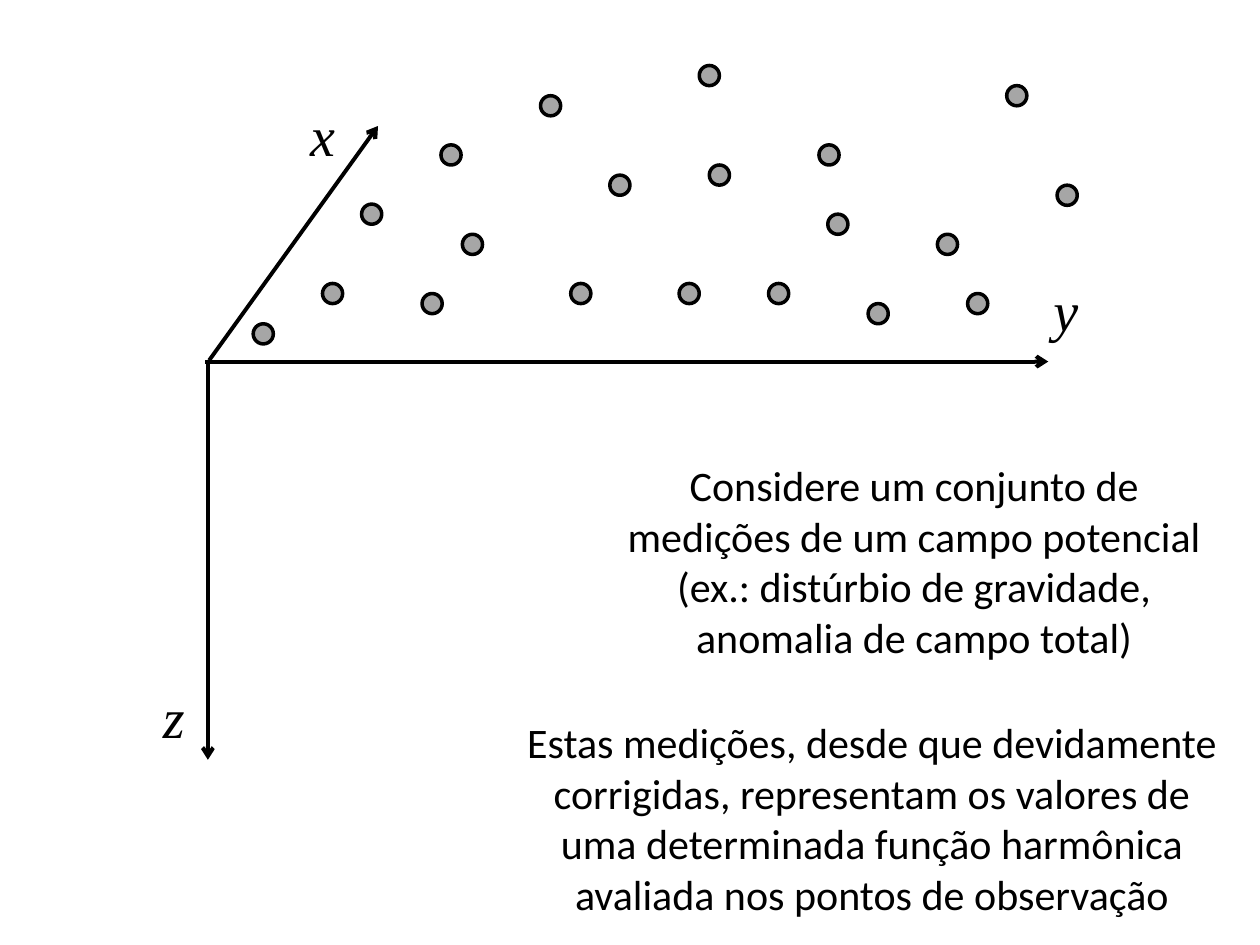
from dataclasses import dataclass

import pptx
import pptx.dml.color
import pptx.enum.shapes
import pptx.enum.text
import pptx.oxml
import pptx.oxml.ns
import pptx.util

Inches = pptx.util.Inches
Pt = pptx.util.Pt


@dataclass(frozen=True)
class Theme:
    ink: pptx.dml.color.RGBColor = pptx.dml.color.RGBColor(0, 0, 0)
    point: pptx.dml.color.RGBColor = pptx.dml.color.RGBColor(0xA6, 0xA6, 0xA6)
    body_font: str = "Calibri"
    math_font: str = "Times New Roman"
    body_size: float = 24
    math_size: float = 32
    axis_width: float = 2.25
    point_width: float = 2


THEME = Theme()

# Axis name: start, end and label corner, as offsets from the origin
AXES = {
    "z": ((0, 0), (0, 3.16), (-0.74, 2.5)),
    "y": ((-0.02, 0), (6.67, 0), (6.34, -0.73)),
    "x": ((0.01, -0.01), (1.35, -1.87), (0.44, -2.12)),
}

# Observation points, as offsets from the corner of their region
POINTS = [
    (1.49, 0.63), (2.28, 0.24), (1.66, 1.34), (0.86, 1.10), (0.55, 1.73),
    (1.34, 1.81), (2.83, 0.87), (3.54, 0), (2.52, 1.73), (3.62, 0.79),
    (3.38, 1.73), (4.49, 0.63), (4.56, 1.18), (4.09, 1.73), (5.98, 0.16),
    (5.43, 1.34), (4.88, 1.89), (5.67, 1.81), (6.38, 0.95), (0, 2.05),
]
POINT_SIZE = 0.16

MEASUREMENTS = [
    "Considere um conjunto de medições de um campo potencial",
    "(ex.: distúrbio de gravidade, anomalia de campo total)",
]
HARMONIC = [
    "Estas medições, desde que devidamente corrigidas, representam os valores "
    "de uma determinada função harmônica avaliada nos pontos de observação",
]


def add_text(shapes, box, paragraphs, font=THEME.body_font,
             size=THEME.body_size, italic=False):
    """Add a centred, wrapped text box."""
    tf = shapes.add_textbox(*(Inches(v) for v in box)).text_frame
    tf.word_wrap = True
    for i, text in enumerate(paragraphs):
        p = tf.add_paragraph() if i else tf.paragraphs[0]
        p.alignment = pptx.enum.text.PP_ALIGN.CENTER
        r = p.add_run()
        r.text = text
        r.font.name = font
        r.font.size = Pt(size)
        r.font.italic = italic
        r.font.color.rgb = THEME.ink


def add_arrow(shapes, start, end):
    """Add a straight line with an open arrowhead at its end."""
    line = shapes.add_connector(
        pptx.enum.shapes.MSO_CONNECTOR.STRAIGHT,
        *(Inches(v) for v in (*start, *end)))
    line.line.color.rgb = THEME.ink
    line.line.width = Pt(THEME.axis_width)
    tail = pptx.oxml.parse_xml(
        f'<a:tailEnd {pptx.oxml.ns.nsdecls("a")} type="arrow"/>')
    line.line._get_or_add_ln().append(tail)
    line._element.spPr.append(pptx.oxml.parse_xml(
        f'<a:effectLst {pptx.oxml.ns.nsdecls("a")}/>'))


def add_axes(s, left, top):
    """Draw the named axes around the origin at left, top."""
    shapes = s.shapes.add_group_shape().shapes
    for name, offsets in AXES.items():
        start, end, label = ((left + x, top + y) for x, y in offsets)
        add_arrow(shapes, start, end)
        add_text(shapes, (*label, 0.94, 0.64), [name], font=THEME.math_font,
                 size=THEME.math_size, italic=True)


def add_points(s, left, top):
    """Scatter the observation points from the corner at left, top."""
    shapes = s.shapes.add_group_shape().shapes
    for x, y in POINTS:
        sp = shapes.add_shape(
            pptx.enum.shapes.MSO_SHAPE.OVAL, Inches(left + x), Inches(top + y),
            Inches(POINT_SIZE), Inches(POINT_SIZE))
        sp.shadow.inherit = False
        sp.fill.solid()
        sp.fill.fore_color.rgb = THEME.point
        sp.line.color.rgb = THEME.ink
        sp.line.width = Pt(THEME.point_width)


def main():
    prs = pptx.Presentation()
    prs.slide_width, prs.slide_height = Inches(10), Inches(7.5)
    s = prs.slides.add_slide(prs.slide_layouts[6])

    # Diagram
    add_axes(s, 1.65, 2.87)
    add_points(s, 2.01, 0.52)

    # Explanations
    add_text(s.shapes, (4.76, 3.6, 4.99, 1.72), MEASUREMENTS)
    add_text(s.shapes, (3.98, 5.64, 5.88, 1.72), HARMONIC)

    prs.save("out.pptx")


if __name__ == "__main__":
    main()
